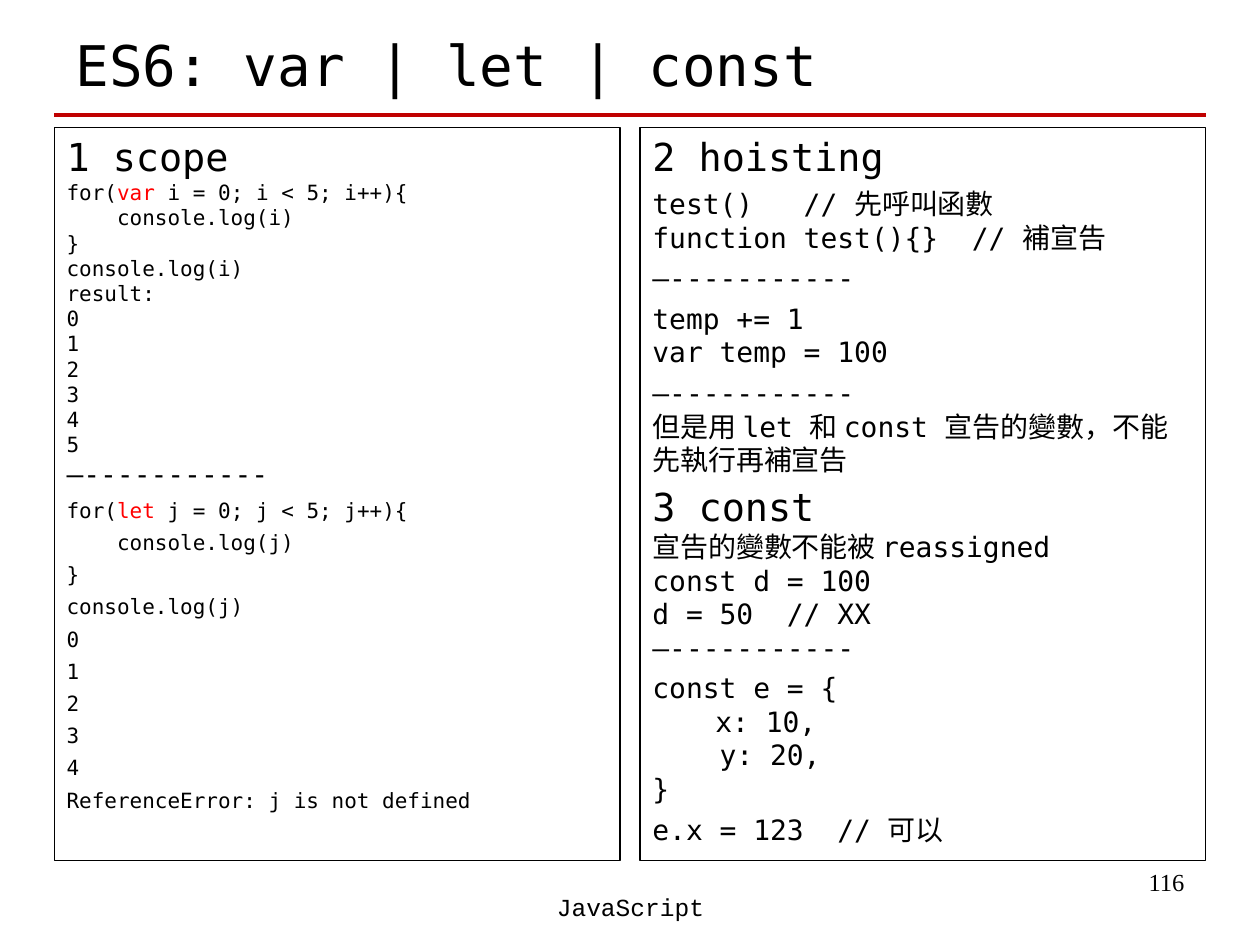
from copy import deepcopy

from lxml import etree
from pptx import Presentation
from pptx.dml.color import RGBColor
from pptx.enum.shapes import MSO_CONNECTOR, MSO_SHAPE
from pptx.enum.text import MSO_ANCHOR, PP_ALIGN
from pptx.oxml.ns import qn
from pptx.util import Inches, Pt

LINE = MSO_CONNECTOR.STRAIGHT
RECT = MSO_SHAPE.RECTANGLE
TOP, MIDDLE = MSO_ANCHOR.TOP, MSO_ANCHOR.MIDDLE
LEFT, CENTER, RIGHT = PP_ALIGN.LEFT, PP_ALIGN.CENTER, PP_ALIGN.RIGHT
MONO = "DejaVu Sans Mono"
BLACK, RED, RULE = "000000", "FF0000", "C00000"
HEAD, BODY, SMALL = 22, 16, 12
DASH = "–-----------"

SCOPE = [
    [("1 scope\n", HEAD), ("for(", SMALL), ("var", SMALL, RED), (" i = 0; i < 5; i++){", SMALL)],
    *[[(text, SMALL)] for text in ("    console.log(i)", "}", "console.log(i)", "result:")],
    *[[(str(num), SMALL)] for num in range(5)],
    [("5\n", SMALL), (DASH, BODY)],
]
BLOCK = [
    [("for(", SMALL), ("let", SMALL, RED), (" j = 0; j < 5; j++){", SMALL)],
    *[[(text, SMALL)] for text in ("    console.log(j)", "}", "console.log(j)")],
    *[[(str(num), SMALL)] for num in range(5)],
    [("ReferenceError: j is not defined", SMALL)],
]
HOIST = [
    [("2 hoisting", HEAD)],
    [("test()   // 先呼叫函數\nfunction test(){}  // 補宣告", BODY)],
    [(DASH, BODY)],
    [("temp += 1\nvar temp = 100", BODY)],
    [(DASH + "\n但是用 let 和 const 宣告的變數，不能先執行再補宣告", BODY)],
]
CONST = [
    [("3 const\n", HEAD),
     ("宣告的變數不能被 reassigned\nconst d = 100\nd = 50  // XX\n" + DASH, BODY)],
    [("const e = {\n\tx: 10,\n    y: 20,\n}", BODY)],
    [("e.x = 123  // 可以", BODY)],
]


def color(code):
    """Turn a hex string into a colour."""
    return RGBColor.from_string(code)


def add_text(para, text, size, tint=BLACK, face=MONO):
    """Add styled runs to a paragraph, with a line break at each newline."""
    for i, part in enumerate(text.split("\n")):
        if i:
            para.add_line_break()
            para._p[-1].append(deepcopy(run._r.rPr))
        if part or not i:
            run = para.add_run()
            run.text = part
            run.font.size = Pt(size)
            run.font.name = face
            run.font.color.rgb = color(tint)


def fill_frame(frame, paras, tight=1, align=LEFT, anchor=TOP, face=MONO):
    """Fill a text frame, with space before all but the first tight paragraphs."""
    frame.word_wrap = True
    frame.vertical_anchor = anchor
    for i, runs in enumerate(paras):
        para = frame.paragraphs[0] if i == 0 else frame.add_paragraph()
        para.alignment = align
        if i >= tight:
            para.space_before = Pt(4)
        for item in runs:
            add_text(para, *item, face=face)


def add_label(slide, box, text, size, **style):
    """Place one line of text in a box."""
    label = slide.shapes.add_textbox(*map(Inches, box))
    fill_frame(label.text_frame, [[(text, size)]], **style)


def add_rule(slide, left, top, width):
    """Draw the red rule below the title."""
    rule = slide.shapes.add_connector(
        LINE, Inches(left), Inches(top), Inches(left + width), Inches(top))
    rule.line.color.rgb = color(RULE)
    rule.line.width = Pt(2.25)
    etree.SubElement(rule._element.spPr, qn("a:effectLst"))


def add_panel(slide, box, paras, tight=1):
    """Draw a framed panel of code."""
    panel = slide.shapes.add_shape(RECT, *map(Inches, box))
    panel.shadow.inherit = False
    panel.fill.background()
    panel.line.color.rgb = color(BLACK)
    panel.line.width = Pt(0.75)
    fill_frame(panel.text_frame, paras, tight)


def main():
    """Build the slide and save it."""
    deck = Presentation()
    deck.slide_width, deck.slide_height = Inches(10), Inches(7.5)
    slide = deck.slides.add_slide(deck.slide_layouts[6])
    left, top, wide, high, gap = 0.43, 1.01, 4.49, 5.82, 0.16
    add_label(slide, (7.17, 6.83, 2.33, 0.52), "116", 14, align=RIGHT, face="Times New Roman")
    add_label(slide, (0.5, 0.13, 9, 0.76), "ES6: var | let | const", 32, anchor=MIDDLE)
    add_rule(slide, left, 0.91, 2 * wide + gap)
    add_panel(slide, (left, top, wide, high), SCOPE + BLOCK, len(SCOPE))
    add_panel(slide, (left + wide + gap, top, wide, high), HOIST + CONST)
    add_label(slide, (3.42, 7.03, 3.17, 0.5), "JavaScript", 14, align=CENTER, face="Courier New")
    deck.save("out.pptx")


if __name__ == "__main__":
    main()
